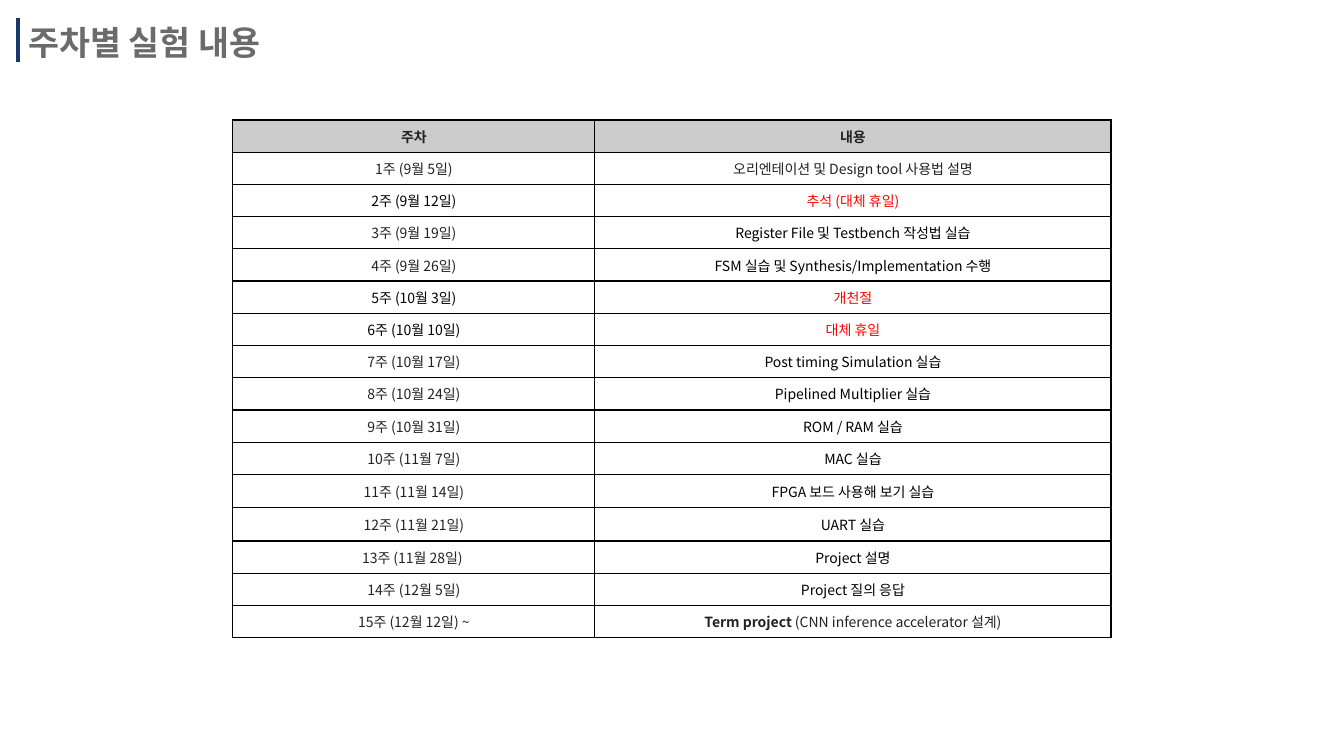
import pptx
import pptx.dml.color
import pptx.enum.shapes
import pptx.enum.text
import pptx.oxml
import pptx.oxml.ns
import pptx.util

WIDTH, HEIGHT = 13.33, 7.5
ROW = 0.32
COLUMNS = (3.59, 5.12)
TABLE_LEFT, TABLE_TOP = 2.31, 1.19
MARGIN = 0.18
GREY, BLACK, RED = "222222", "000000", "FF0000"
TABLE_FONT = "Noto Sans CJK KR"

# week, content, week colour, content colour
SCHEDULE = [
    ("1주 (9월 5일)", "오리엔테이션 및 Design tool 사용법 설명", GREY, GREY),
    ("2주 (9월 12일)", "추석 (대체 휴일)", BLACK, RED),
    ("3주 (9월 19일)", "Register File 및 Testbench 작성법 실습", GREY, BLACK),
    ("4주 (9월 26일)", "FSM 실습 및 Synthesis/Implementation 수행", GREY, BLACK),
    ("5주 (10월 3일)", "개천절", BLACK, RED),
    ("6주 (10월 10일)", "대체 휴일", BLACK, RED),
    ("7주 (10월 17일)", "Post timing Simulation 실습", GREY, BLACK),
    ("8주 (10월 24일)", "Pipelined Multiplier 실습", GREY, BLACK),
    ("9주 (10월 31일)", "ROM / RAM 실습", GREY, BLACK),
    ("10주 (11월 7일)", "MAC 실습", GREY, BLACK),
    ("11주 (11월 14일)", "FPGA 보드 사용해 보기 실습", GREY, BLACK),
    ("12주 (11월 21일)", "UART 실습", GREY, BLACK),
    ("13주 (11월 28일) ", "Project 설명", GREY, BLACK),
    ("14주 (12월 5일)", "Project 질의 응답", GREY, BLACK),
]
FINAL_WEEK = "15주 (12월 12일) ~"
TALL_ROWS = (11, 12)


def inches(*lengths):
    return [pptx.util.Inches(length) for length in lengths]


def rgb(color):
    return pptx.dml.color.RGBColor.from_string(color)


def xml(tag, attributes="", inner=""):
    ns = pptx.oxml.ns.nsdecls("a")
    return pptx.oxml.parse_xml(f"<a:{tag} {ns} {attributes}>{inner}</a:{tag}>")


def add_text(p, text, size=10, color=GREY, bold=False, font=TABLE_FONT, east_asian=None):
    r = p.add_run()
    r.text = text
    r.font.size = pptx.util.Pt(size)
    r.font.bold = bold
    r.font.color.rgb = rgb(color)
    r.font.name = font
    if east_asian:
        r.font._element.append(xml("ea", f'typeface="{east_asian}"'))


def add_accent_line(s, x, top, bottom, color, width):
    line = s.shapes.add_connector(
        pptx.enum.shapes.MSO_CONNECTOR.STRAIGHT, *inches(x, top, x, bottom))
    line.line.color.rgb = rgb(color)
    line.line.width = pptx.util.Pt(width)
    line._element.spPr.append(xml("effectLst"))


def add_title(s, text):
    title = s.shapes.title
    title.left, title.top, title.width, title.height = inches(
        MARGIN, MARGIN, WIDTH - 2 * MARGIN, 0.52)
    tf = title.text_frame
    tf.auto_size = pptx.enum.text.MSO_AUTO_SIZE.NONE
    tf.vertical_anchor = pptx.enum.text.MSO_ANCHOR.MIDDLE
    p = tf.paragraphs[0]
    p.alignment = pptx.enum.text.PP_ALIGN.LEFT
    p.line_spacing = 0.9
    add_text(p, text, size=24, color="6B6B6B", bold=True, font="Arial")


def fill_cell(cell, *runs, fill="FFFFFF"):
    """Each run is a text with a dict of its format."""
    cell.margin_left = cell.margin_right = pptx.util.Inches(0.05)
    cell.margin_top = cell.margin_bottom = pptx.util.Inches(0.05)
    cell.vertical_anchor = pptx.enum.text.MSO_ANCHOR.MIDDLE
    tcPr = cell._tc.get_or_add_tcPr()
    for side in ("lnL", "lnR", "lnT", "lnB"):
        black = f'<a:solidFill><a:srgbClr val="{BLACK}"/></a:solidFill>'
        tcPr.append(xml(side, f'w="{pptx.util.Pt(1)}"', black))
    cell.fill.solid()
    cell.fill.fore_color.rgb = rgb(fill)
    p = cell.text_frame.paragraphs[0]
    p.alignment = pptx.enum.text.PP_ALIGN.CENTER
    for text, style in runs:
        add_text(p, text, east_asian=TABLE_FONT, **style)


def add_schedule(s):
    count = len(SCHEDULE) + 2
    table = s.shapes.add_table(count, len(COLUMNS), *inches(
        TABLE_LEFT, TABLE_TOP, sum(COLUMNS), ROW * count)).table
    table.horz_banding = table.first_row = False
    for column, width in zip(table.columns, COLUMNS):
        column.width = pptx.util.Inches(width)
    for i, row in enumerate(table.rows):
        row.height = pptx.util.Inches(ROW + 0.01 * (i in TALL_ROWS))

    # Header
    for i, heading in enumerate(("주차", "내용")):
        fill_cell(table.cell(0, i), (heading, {"bold": True}), fill="CCCCCC")

    # Weekly rows
    for i, (week, content, week_color, content_color) in enumerate(SCHEDULE, 1):
        fill_cell(table.cell(i, 0), (week, {"color": week_color}))
        fill_cell(table.cell(i, 1), (content, {"color": content_color}))

    # Final project
    fill_cell(table.cell(count - 1, 0), (FINAL_WEEK, {}))
    fill_cell(table.cell(count - 1, 1), ("Term project", {"bold": True}),
              (" (CNN inference accelerator 설계)", {}))


def main():
    prs = pptx.Presentation()
    prs.slide_width, prs.slide_height = inches(WIDTH, HEIGHT)
    s = prs.slides.add_slide(prs.slide_layouts[5])
    add_accent_line(s, MARGIN, MARGIN, 0.62, "19386D", 2.5)
    add_title(s, "주차별 실험 내용")
    add_schedule(s)
    prs.save("out.pptx")


if __name__ == "__main__":
    main()
